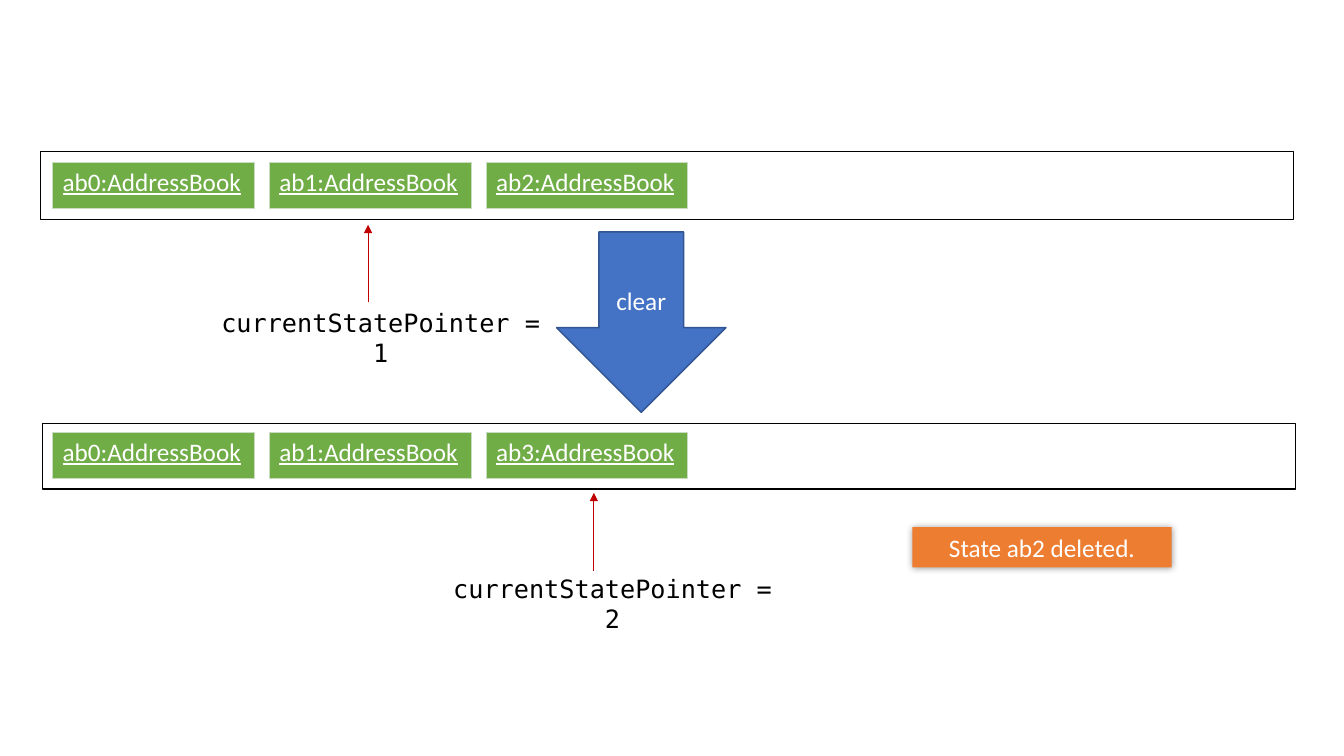
from pptx import Presentation
from pptx.util import Inches, Pt
from pptx.dml.color import RGBColor
from pptx.enum.shapes import MSO_SHAPE as SHAPE, MSO_CONNECTOR as CONNECTOR
from pptx.enum.text import PP_ALIGN as ALIGN, MSO_ANCHOR as ANCHOR
from pptx.oxml import parse_xml
from pptx.oxml.ns import nsdecls

# Content: frame box, table top, state names, pointer text and its box, arrow x and ends
HISTORIES = [
    dict(frame=(0.4, 1.5, 12.43, 0.68), top=1.61, states=["ab0", "ab1", "ab2"],
         pointer="currentStatePointer = 1", label=(2.02, 3, 3.51, 0.4),
         arrow=(3.65, 3, 2.23)),
    dict(frame=(0.42, 4.2, 12.43, 0.65), top=4.29, states=["ab0", "ab1", "ab3"],
         pointer="currentStatePointer = 2", label=(4.32, 5.64, 3.51, 0.4),
         arrow=(5.89, 5.66, 4.89)),
]
COMMAND, NOTE = "clear", "State ab2 deleted."
STATE_LEFT, STATE_STEP, STATE_W, STATE_H = 0.52, 2.15, 2, 0.46
COLORS = dict(text="000000", light="FFFFFF", state="70AD47", border="C9DBC1",
              command="4472C4", command_line="325491", note="ED7D31", arrow="C00000")
SANS, MONO = "Calibri", "DejaVu Sans Mono"


def rgb(name):
    return RGBColor.from_string(COLORS[name])


def write(tf, text, color, font=SANS, align=ALIGN.CENTER, underline=None):
    tf.word_wrap = True
    p = tf.paragraphs[0]
    p.text, p.alignment = text, align
    p.font.name, p.font.size, p.font.underline = font, Pt(18), underline
    p.font.color.rgb = rgb(color)


def add_box(kind, box, fill=None, line=None):
    sp = s.shapes.add_shape(kind, *map(Inches, box))
    sp.shadow.inherit = False
    if fill:
        sp.fill.solid()
        sp.fill.fore_color.rgb = rgb(fill)
    else:
        sp.fill.background()
    if line:
        sp.line.color.rgb = rgb(line)
        sp.line.width = Pt(1)
    else:
        sp.line.fill.background()
    return sp


def add_state(text, left, top):
    box = map(Inches, (left, top, STATE_W, STATE_H))
    cell = s.shapes.add_table(1, 1, *box).table.cell(0, 0)
    cell.fill.solid()
    cell.fill.fore_color.rgb = rgb("state")
    write(cell.text_frame, text, "light", align=ALIGN.LEFT, underline=True)
    cell.text_frame.paragraphs[0].font.bold = False
    for i, side in enumerate("LRTB"):
        cell._tc.get_or_add_tcPr().insert(i, parse_xml(
            f'<a:ln{side} {nsdecls("a")} w="6350"><a:solidFill>'
            f'<a:srgbClr val="{COLORS["border"]}"/></a:solidFill></a:ln{side}>'))


def add_arrow(x, start, end):
    ln = s.shapes.add_connector(CONNECTOR.STRAIGHT, *map(Inches, (x, start, x, end)))
    ln.line.color.rgb = rgb("arrow")
    ln.line.width = Pt(0.5)
    ln.line._get_or_add_ln().append(parse_xml(f'<a:tailEnd {nsdecls("a")} type="triangle"/>'))
    ln._element.spPr.append(parse_xml(f'<a:effectLst {nsdecls("a")}/>'))


prs = Presentation()
prs.slide_width, prs.slide_height = Inches(13.33), Inches(7.5)
s = prs.slides.add_slide(prs.slide_layouts[6])

# Command arrow
command = add_box(SHAPE.DOWN_ARROW, (5.52, 2.3, 1.68, 1.79), "command", "command_line")
command.text_frame.vertical_anchor = ANCHOR.MIDDLE
write(command.text_frame, COMMAND, "light")

# Note with a soft glow-like shadow
note = add_box(SHAPE.RECTANGLE, (9.05, 5.23, 2.57, 0.4), "note")
note.text_frame.vertical_anchor = ANCHOR.TOP
write(note.text_frame, NOTE, "light")
note._element.spPr.find("{*}effectLst").append(parse_xml(
    f'<a:outerShdw {nsdecls("a")} blurRad="{Pt(5)}" dist="0" dir="0">'
    '<a:srgbClr val="000000"><a:alpha val="40000"/></a:srgbClr></a:outerShdw>'))

# State histories before and after the command
for h in HISTORIES:
    label = s.shapes.add_textbox(*map(Inches, h["label"]))
    write(label.text_frame, h["pointer"], "text", MONO)
    add_box(SHAPE.RECTANGLE, h["frame"], line="text")
    for i, state in enumerate(h["states"]):
        add_state(f"{state}:AddressBook", STATE_LEFT + i * STATE_STEP, h["top"])
    add_arrow(*h["arrow"])

prs.save("out.pptx")
